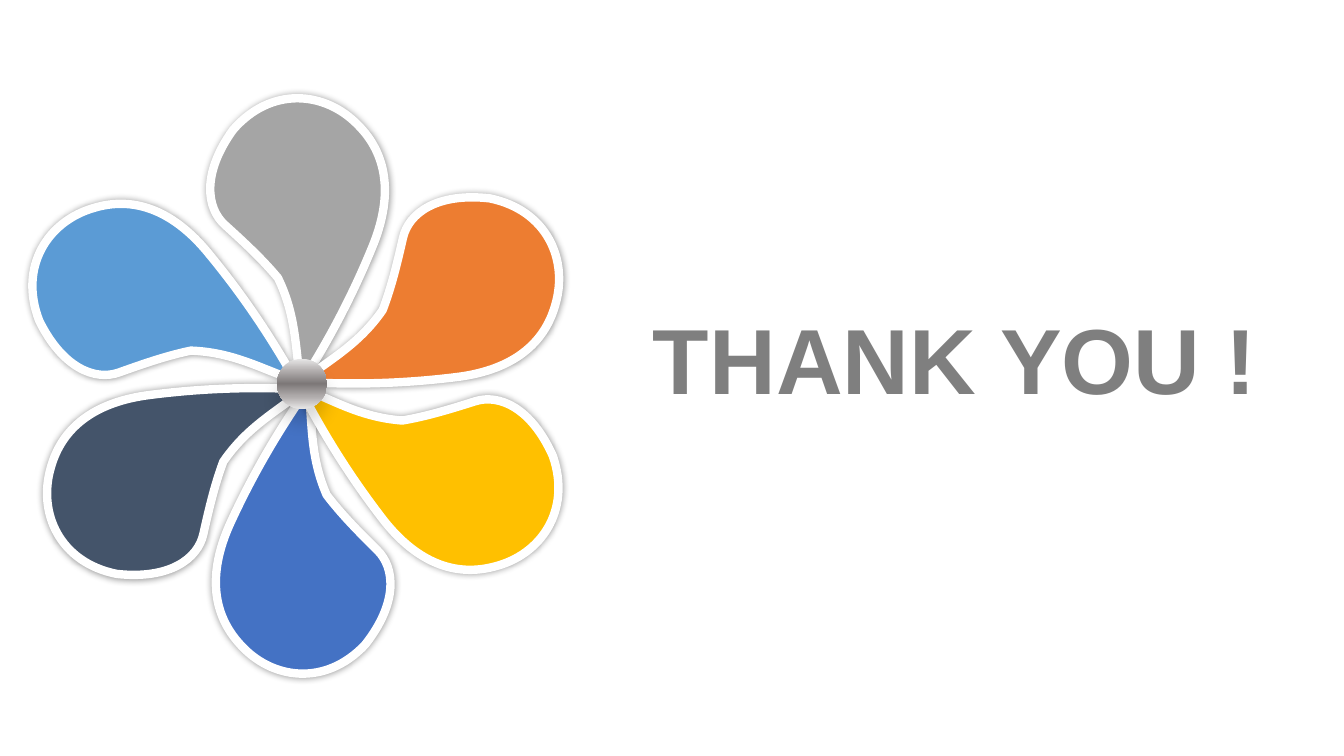
"""Builds a closing slide with a six-petal flower and a thank-you title."""
from dataclasses import dataclass

from lxml.etree import SubElement as sub
from pptx import Presentation
from pptx.dml.color import RGBColor as Rgb
from pptx.enum.shapes import MSO_SHAPE as Kind
from pptx.enum.text import MSO_ANCHOR as Anchor, MSO_AUTO_SIZE as Fit, PP_ALIGN as Align
from pptx.oxml.ns import qn
from pptx.util import Pt

SCALE = 914400 / 100.8
WIDE, HIGH = 175, 286
TIP = (91, 286)
CURVES = [
    [(85, 252), (87, 219), (68, 180)],
    [(53, 162), (36, 146), (15, 127)],
    [(-4, 110), (-8, 75), (23, 32)],
    [(61, -12), (115, -7), (148, 27)],
    [(177, 56), (183, 96), (164, 145)],
    [(143, 197), (119, 242), TIP],
]


@dataclass(frozen=True)
class Theme:
    font: str = "Arial"
    size: int = 66
    edge: int = 6
    text: str = "7F7F7F"
    white: str = "FFFFFF"
    black: str = "000000"
    gray: str = "A5A5A5"
    blue: str = "4472C4"
    orange: str = "ED7D31"
    gold: str = "FFC000"
    sky: str = "5B9BD5"
    navy: str = "44546A"
    metal: tuple = ("E7E6E6", "AFABAB", "7D7878", "AFABAB", "E7E6E6")


def emu(*sizes):
    return [round(size * SCALE) for size in sizes]


class Deck:
    def __init__(self, theme):
        self.theme = theme
        self.prs = Presentation()
        self.prs.slide_width, self.prs.slide_height = emu(1344, 756)
        self.slide = self.prs.slides.add_slide(self.prs.slide_layouts[5])

    def title(self, text, *box):
        head = self.slide.shapes.title
        head.left, head.top, head.width, head.height = emu(*box)
        frame = head.text_frame
        frame.word_wrap = False
        frame.auto_size = Fit.SHAPE_TO_FIT_TEXT
        frame.vertical_anchor = Anchor.MIDDLE
        para = frame.paragraphs[0]
        para.alignment = Align.CENTER
        run = para.add_run()
        run.text = text
        font = run.font
        font.name, font.size, font.bold = self.theme.font, Pt(self.theme.size), True
        font.color.rgb = Rgb.from_string(self.theme.text)

    def shade(self, shape, alpha, blur, dist=0, angle=0):
        shape.shadow.inherit = False
        effect = shape._element.spPr.find(qn("a:effectLst"))
        outer = sub(effect, qn("a:outerShdw"), blurRad=str(Pt(blur)), dist=str(Pt(dist)),
                    dir=str(angle * 60000), algn="ctr", rotWithShape="0")
        color = sub(outer, qn("a:srgbClr"), val=self.theme.black)
        sub(color, qn("a:alpha"), val=str(alpha * 1000))

    def petal(self, left, top, turn, color):
        form = self.slide.shapes.build_freeform(0, 0, scale=SCALE)
        form.add_line_segments([(WIDE, 0), (WIDE, HIGH), (0, HIGH)])
        shape = form.convert_to_shape(*emu(left, top))
        route = shape._element.spPr.find(".//" + qn("a:path"))
        for node in list(route):
            route.remove(node)
        steps = [("moveTo", [TIP])] + [("cubicBezTo", curve) for curve in CURVES]
        for name, points in steps:
            step = sub(route, qn("a:" + name))
            for x, y in points:
                sub(step, qn("a:pt"), x=str(x), y=str(y))
        sub(route, qn("a:close"))
        route.set("w", str(WIDE))
        route.set("h", str(HIGH))
        shape.rotation = turn
        shape.fill.solid()
        shape.fill.fore_color.rgb = Rgb.from_string(color)
        shape.line.color.rgb = Rgb.from_string(self.theme.white)
        shape.line.width = Pt(self.theme.edge)
        self.shade(shape, 40, 5)

    def hub(self, *box):
        shape = self.slide.shapes.add_shape(Kind.OVAL, *emu(*box))
        shape.line.fill.background()
        shape.fill.gradient()
        shape.fill.gradient_angle = 270
        stops = shape._element.spPr.find(".//" + qn("a:gsLst"))
        for node in list(stops):
            stops.remove(node)
        for rank, color in enumerate(self.theme.metal):
            stop = sub(stops, qn("a:gs"), pos=str(rank * 25000))
            sub(stop, qn("a:srgbClr"), val=color)
        self.shade(shape, 15, 12, 10, 90)


theme = Theme()
deck = Deck(theme)
deck.title("THANK YOU !", 640, 297, 630, 122)
petals = [
    (210, 98, 0, theme.gray),
    (218, 388, 182.5, theme.blue),
    (337, 166, 60.7, theme.orange),
    (337, 313, 120.2, theme.gold),
    (80, 173, 298.1, theme.sky),
    (94, 320, 240.4, theme.navy),
]
for petal in petals:
    deck.petal(*petal)
deck.hub(277, 359, 50, 50)
deck.prs.save("out.pptx")
